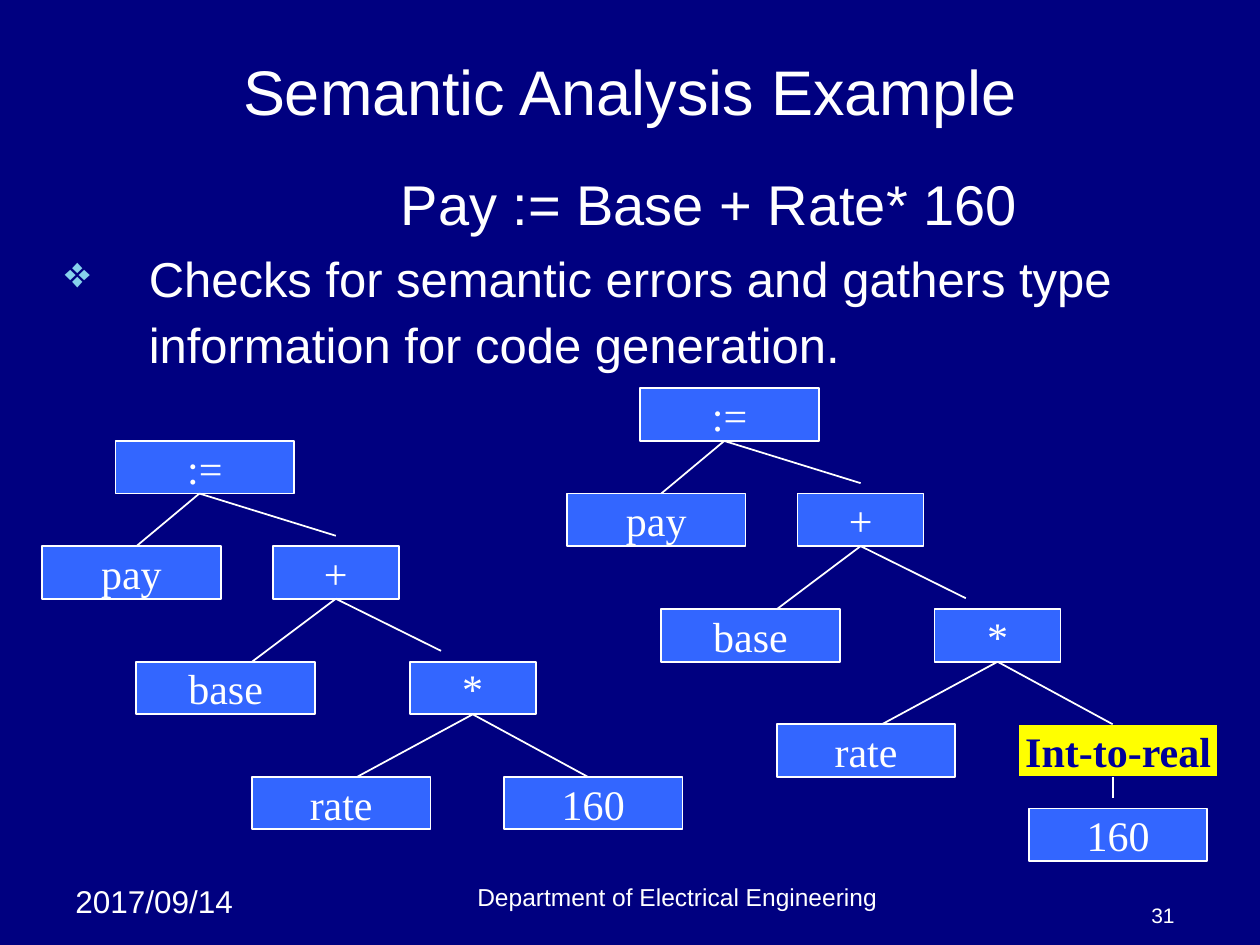
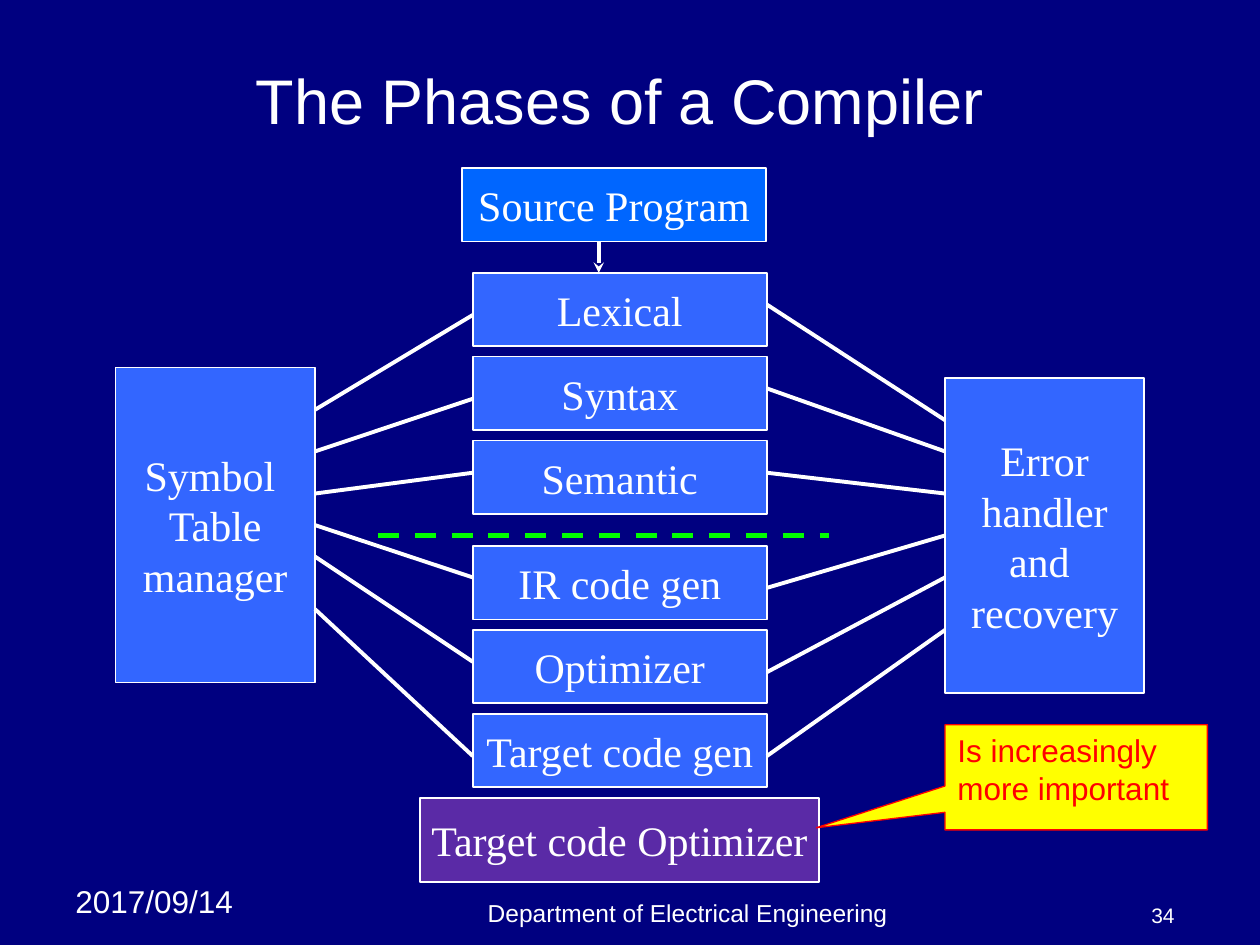
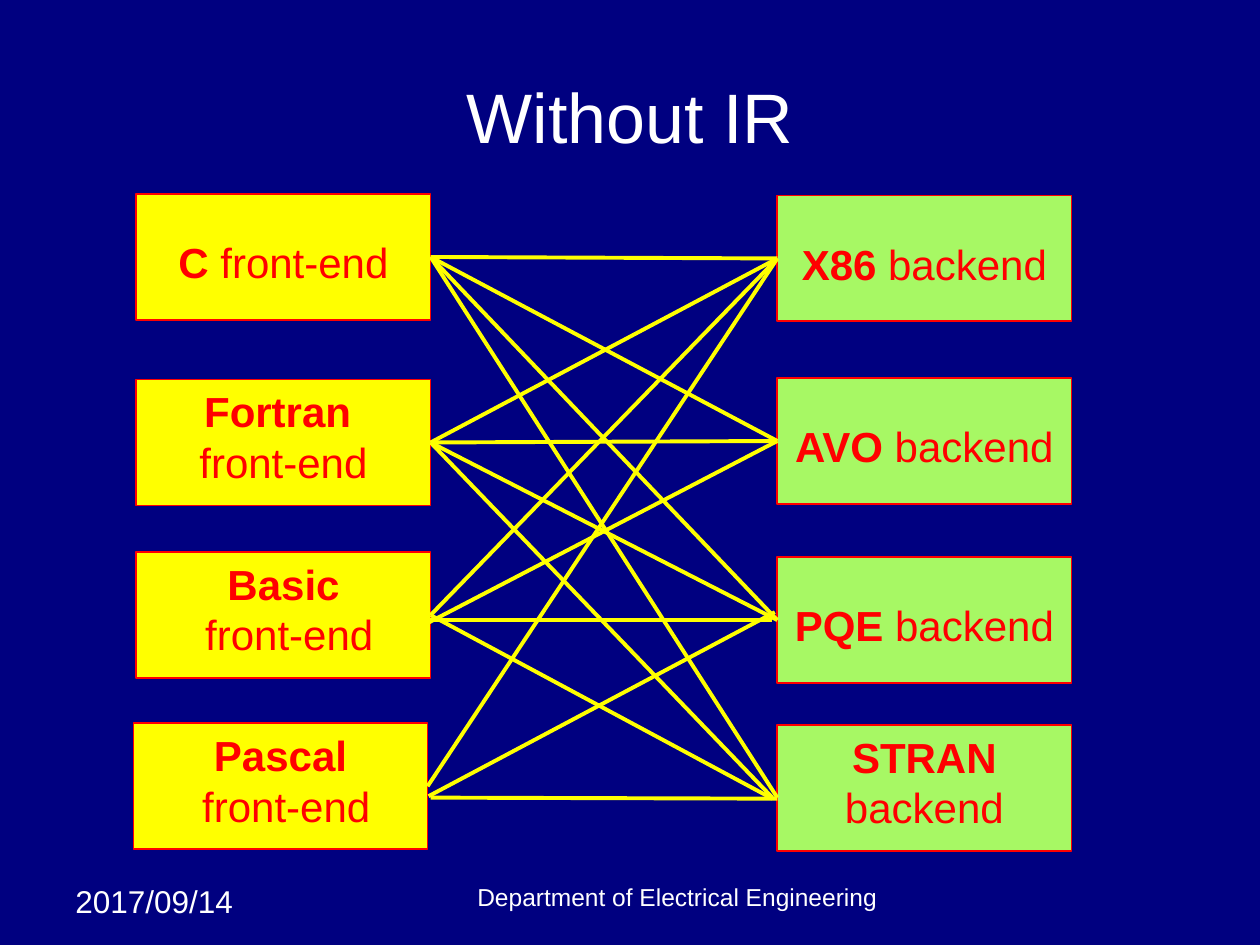
from dataclasses import dataclass
from typing import Any

from lxml import etree
from pptx import Presentation
from pptx import util as u
from pptx.dml.color import RGBColor
from pptx.enum import dml, shapes, text
from pptx.oxml.ns import qn

NAVY = RGBColor(0x00, 0x00, 0x80)
INDIGO = RGBColor(0x00, 0x00, 0x99)
BLUE = RGBColor(0x33, 0x66, 0xFF)
BRIGHT_BLUE = RGBColor(0x00, 0x66, 0xFF)
PURPLE = RGBColor(0x5A, 0x2A, 0xA6)
WHITE = RGBColor(0xFF, 0xFF, 0xFF)
YELLOW = RGBColor(0xFF, 0xFF, 0x00)
RED = RGBColor(0xFF, 0x00, 0x00)
GREEN = RGBColor(0x00, 0xFF, 0x00)
LIME = RGBColor(0xA7, 0xF8, 0x64)
SKY = RGBColor(0x86, 0xD1, 0xEC)

SANS, SERIF = "Arial", "Times New Roman"
LEFT, CENTER, RIGHT = text.PP_ALIGN.LEFT, text.PP_ALIGN.CENTER, text.PP_ALIGN.RIGHT
TOP, MIDDLE, BOTTOM = text.MSO_ANCHOR.TOP, text.MSO_ANCHOR.MIDDLE, text.MSO_ANCHOR.BOTTOM
GLUE_REACH = u.Cm(0.06)

Runs = tuple[tuple[str, bool], ...]


@dataclass(frozen=True)
class Style:
    size: float
    font: str = SANS
    color: RGBColor = WHITE
    align: Any = CENTER
    anchor: Any = MIDDLE
    wrap: bool = True


@dataclass(frozen=True)
class Box:
    x: float
    y: float
    w: float
    h: float
    paragraphs: tuple[Runs, ...]
    style: Style
    fill: RGBColor | None = None
    line: RGBColor = WHITE
    weight: float = 1
    kind: Any = shapes.MSO_SHAPE.RECTANGLE
    margin_top: float = 0.13


@dataclass(frozen=True)
class Line:
    x1: float
    y1: float
    x2: float
    y2: float
    color: RGBColor = WHITE
    weight: float = 2.25
    dash: Any = None
    arrow: bool = False


NODE = Style(24, SERIF, wrap=False)
CAST = Style(24, SERIF, INDIGO, wrap=False)
ENDS = Style(24, SANS, RED, anchor=TOP)
NOTE = Style(18, SANS, RED, LEFT, TOP)
DATE = Style(18, align=LEFT, anchor=TOP)
DEPARTMENT = Style(14, anchor=BOTTOM)
NUMBER = Style(12, align=RIGHT, anchor=BOTTOM)


def lines_of(content: str, bold: bool = False) -> tuple[Runs, ...]:
    return tuple(((line, bold),) for line in content.split("\n"))


def add_paragraph(tf: Any, runs: Runs, style: Style, first: bool) -> Any:
    p = tf.paragraphs[0] if first else tf.add_paragraph()
    p.alignment = style.align
    for content, bold in runs:
        r = p.add_run()
        r.text = content
        for name, value in {"name": style.font, "size": u.Pt(style.size), "bold": bold}.items():
            setattr(r.font, name, value)
        r.font.color.rgb = style.color
    return p


def draw_box(s: Any, box: Box) -> Any:
    place = [u.Cm(v) for v in (box.x, box.y, box.w, box.h)]
    if box.fill is None:
        sp = s.shapes.add_textbox(*place)
    else:
        sp = s.shapes.add_shape(box.kind, *place)
        sp.shadow.inherit = False
        sp.fill.solid()
        sp.fill.fore_color.rgb = box.fill
        sp.line.color.rgb = box.line
        sp.line.width = u.Pt(box.weight)
    frame = {
        "word_wrap": box.style.wrap,
        "vertical_anchor": box.style.anchor,
        "margin_top": u.Cm(box.margin_top),
    }
    for name, value in frame.items():
        setattr(sp.text_frame, name, value)
    for i, runs in enumerate(box.paragraphs):
        add_paragraph(sp.text_frame, runs, box.style, i == 0)
    return sp


def side_middles(sp: Any) -> list[tuple[float, float]]:
    cx, cy = sp.left + sp.width / 2, sp.top + sp.height / 2
    return [(cx, sp.top), (sp.left, cy), (cx, sp.top + sp.height), (sp.left + sp.width, cy)]


def draw_line(s: Any, line: Line, rects: list[Any]) -> None:
    x1, y1, x2, y2 = (u.Cm(v) for v in (line.x1, line.y1, line.x2, line.y2))
    cxn = s.shapes.add_connector(shapes.MSO_CONNECTOR.STRAIGHT, x1, y1, x2, y2)
    cxn.line.color.rgb = line.color
    cxn.line.width = u.Pt(line.weight)
    if line.dash:
        cxn.line.dash_style = line.dash
    if line.arrow:
        etree.SubElement(cxn.line._get_or_add_ln(), qn("a:tailEnd"), type="stealth")
    etree.SubElement(cxn._element.spPr, qn("a:effectLst"))
    for connect, x, y in ((cxn.begin_connect, x1, y1), (cxn.end_connect, x2, y2)):
        for sp in rects:
            for site, (mx, my) in enumerate(side_middles(sp)):
                if max(abs(mx - x), abs(my - y)) <= GLUE_REACH:
                    connect(sp, site)


def draw_diagram(s: Any, boxes: list[Box], lines: list[Line]) -> None:
    rects = [draw_box(s, box) for box in boxes]
    for line in lines:
        draw_line(s, line, rects)


def add_slide(prs: Any, title: Box, footer_at: tuple[float, float], number: str = "") -> Any:
    s = prs.slides.add_slide(prs.slide_layouts[6])
    draw_box(s, title)
    draw_box(s, Box(1.27, 17.65, 4.01, 1.02, lines_of("2017/09/14"), DATE))
    draw_box(s, Box(*footer_at, 17.15, 0.84,
                    lines_of("Department of Electrical Engineering"), DEPARTMENT))
    if number:
        draw_box(s, Box(22.23, 17.98, 1.7, 0.84, lines_of(number), NUMBER))
    return s


def add_bullet(p: Any, char: str) -> None:
    pPr = p._p.get_or_add_pPr()
    color = etree.SubElement(pPr, qn("a:buClr"))
    etree.SubElement(color, qn("a:srgbClr"), val=str(SKY))
    etree.SubElement(pPr, qn("a:buSzPct"), val="90000")
    etree.SubElement(pPr, qn("a:buChar"), char=char)


def add_explanation(s: Any) -> None:
    sp = draw_box(s, Box(1.06, 3.28, 23.71, 14.7, (), Style(32, align=LEFT, anchor=TOP)))
    tf = sp.text_frame
    formula = add_paragraph(tf, (("Pay := Base + Rate* 160", False),),
                            Style(32, align=LEFT), True)
    formula._p.get_or_add_pPr().set("marL", str(u.Cm(6.77)))
    purpose = add_paragraph(
        tf,
        (("Checks for semantic errors and gathers type information for code generation.", False),),
        Style(28, align=LEFT), False)
    for name, value in {"space_before": u.Pt(2.6), "line_spacing": u.Pt(37.7)}.items():
        setattr(purpose, name, value)
    pPr = purpose._p.get_or_add_pPr()
    for name, value in {"marL": u.Cm(1.69), "indent": u.Cm(-1.69)}.items():
        pPr.set(name, str(value))
    add_bullet(purpose, "❖")


WIDE, NARROW, NODE_H = 3.6, 2.54, 1.06
TREE_NODES = [
    (":=", 2.33, 8.89, WIDE),
    ("pay", 0.85, 11.01, WIDE),
    ("+", 5.5, 11.01, NARROW),
    ("base", 2.75, 13.34, WIDE),
    ("*", 8.26, 13.34, NARROW),
    ("rate", 5.08, 15.66, WIDE),
]
TREE_LINKS = [
    (4.02, 9.95, 2.75, 11.01),
    (4.02, 9.95, 6.77, 10.8),
    (6.77, 12.07, 5.08, 13.34),
    (6.77, 12.07, 8.89, 13.12),
    (9.53, 14.4, 7.2, 15.66),
    (9.53, 14.4, 11.85, 15.66),
]


def node(label: str, x: float, y: float, w: float) -> Box:
    return Box(x, y, w, NODE_H, lines_of(label), NODE, BLUE)


def draw_tree(s: Any, dx: float, dy: float, leaves: list[Box], extra: list[Line]) -> None:
    nodes = [node(label, x + dx, y + dy, w) for label, x, y, w in TREE_NODES]
    links = [Line(x1 + dx, y1 + dy, x2 + dx, y2 + dy, weight=1) for x1, y1, x2, y2 in TREE_LINKS]
    draw_diagram(s, nodes + leaves, links + extra)


def semantic_slide(prs: Any) -> None:
    title = Box(1.27, 0.76, 22.86, 2.12, lines_of("Semantic Analysis Example"), Style(36))
    s = add_slide(prs, title, (5.08, 17.65), "31")
    add_explanation(s)
    draw_tree(s, 0, 0, [node("160", 10.16, 15.66, WIDE)], [])
    cast = Box(20.53, 14.6, 4.02, NODE_H, lines_of("Int-to-real", True), CAST, YELLOW, NAVY)
    draw_tree(s, 10.58, -1.06, [cast, node("160", 20.74, 16.3, WIDE)],
              [Line(22.44, 15.66, 22.44, 16.09, weight=1)])


PHASE_X, PHASE_W, PHASE_H, PHASE_PITCH = 9.53, 5.93, 1.48, 1.69
PHASE_GROUPS = [
    (5.5, ("Lexical", "Syntax", "Semantic")),
    (11.01, ("IR code gen", "Optimizer", "Target code gen")),
]
SYMBOL_LINKS = [(8.26, 6.35), (9.1, 8.04), (9.95, 9.53),
                (10.58, 11.64), (11.22, 13.34), (12.28, 15.24)]
ERROR_LINKS = [(6.14, 8.47), (7.83, 9.1), (9.53, 9.95),
               (11.85, 10.8), (13.55, 11.64), (15.24, 12.7)]


def phases_slide(prs: Any) -> None:
    title = Box(1.7, 0.94, 21.59, 2.12, lines_of("The Phases of a Compiler"), Style(36))
    s = add_slide(prs, title, (5.29, 17.98), "34")
    symbol_right, error_left = 6.35, 19.05
    boxes = [
        Box(PHASE_X, top + i * PHASE_PITCH, PHASE_W, PHASE_H, lines_of(name), NODE, BLUE)
        for top, names in PHASE_GROUPS for i, name in enumerate(names)
    ]
    boxes += [
        Box(9.31, 3.39, 6.14, PHASE_H, lines_of("Source Program"), NODE, BRIGHT_BLUE),
        Box(2.33, 7.41, 4.02, 6.35, lines_of("Symbol \nTable\nmanager"), NODE, BLUE),
        Box(error_left, 7.62, 4.02, 6.35, lines_of("Error\nhandler\nand \nrecovery"), NODE, BLUE),
        Box(8.47, 16.09, 8.04, 1.69, lines_of("Target code Optimizer"), NODE, PURPLE),
    ]
    lines = [Line(symbol_right, y1, PHASE_X, y2) for y1, y2 in SYMBOL_LINKS]
    lines += [Line(PHASE_X + PHASE_W, y1, error_left, y2) for y1, y2 in ERROR_LINKS]
    lines += [
        Line(7.62, 10.8, 16.72, 10.8, GREEN, 3, dml.MSO_LINE.DASH),
        Line(12.07, 4.87, 12.07, 5.5, weight=2, arrow=True),
    ]
    draw_diagram(s, boxes, lines)
    callout = draw_box(s, Box(error_left, 14.61, 5.29, 2.12,
                              lines_of("Is increasingly more important"), NOTE, YELLOW, RED,
                              0.75, shapes.MSO_SHAPE.RECTANGULAR_CALLOUT))
    for i, value in enumerate((-0.99, 0.48)):
        callout.adjustments[i] = value


END_W, END_H = 5.93, 2.54
FRONT_X, BACK_X = 8.68, 15.67
FRONT_ENDS = [
    (2.75, 3.91, ((("C", True), (" front-end", False)),)),
    (2.75, 7.65, ((("Fortran ", True),), (("front-end", False),))),
    (2.75, 11.13, ((("Basic", True),), ((" front-end", False),))),
    (2.69, 14.58, ((("Pascal", True),), ((" front-end", False),))),
]
BACKENDS = [("X86", 3.94), ("AVO", 7.62), ("PQE", 11.23), ("STRAN", 14.61)]
PAIRINGS = [
    (FRONT_X, 5.18, [(BACK_X, 5.21), (BACK_X, 8.89), (BACK_X, 12.5), (BACK_X, 16.08)]),
    (FRONT_X, 8.92, [(BACK_X, 5.21), (BACK_X, 8.92), (BACK_X, 12.5), (15.57, 16.08)]),
    (FRONT_X, 12.4, [(BACK_X, 5.21), (15.57, 16.1)]),
    (8.64, 12.55, [(15.62, 8.84)]),
    (8.59, 12.5, [(15.57, 12.5)]),
    (8.62, 15.85, [(BACK_X, 5.21)]),
    (8.64, 16.05, [(15.62, 12.34)]),
    (FRONT_X, 16.08, [(BACK_X, 16.1)]),
]


def end_box(x: float, y: float, paragraphs: tuple[Runs, ...], fill: RGBColor,
            two_lines: bool) -> Box:
    return Box(x, y, END_W, END_H, paragraphs, ENDS, fill, RED,
               margin_top=0.13 if two_lines else 0.86)


def without_ir_slide(prs: Any) -> None:
    title = Box(1.27, 1.06, 22.86, 2.54, lines_of("Without IR"), Style(40))
    s = add_slide(prs, title, (5.08, 17.65))
    boxes = [end_box(x, y, label, YELLOW, len(label) > 1) for x, y, label in FRONT_ENDS]
    boxes += [
        end_box(BACK_X, y, (((name, True), (" backend", False)),), LIME, name == "STRAN")
        for name, y in BACKENDS
    ]
    lines = [Line(x1, y1, x2, y2, YELLOW) for x1, y1, ends in PAIRINGS for x2, y2 in ends]
    draw_diagram(s, boxes, lines)


def main() -> None:
    prs = Presentation()
    prs.slide_width, prs.slide_height = u.Cm(25.4), u.Cm(19.05)
    background = prs.slide_master.background.fill
    background.solid()
    background.fore_color.rgb = NAVY
    for build in (semantic_slide, phases_slide, without_ir_slide):
        build(prs)
    prs.save("out.pptx")


if __name__ == "__main__":
    main()
